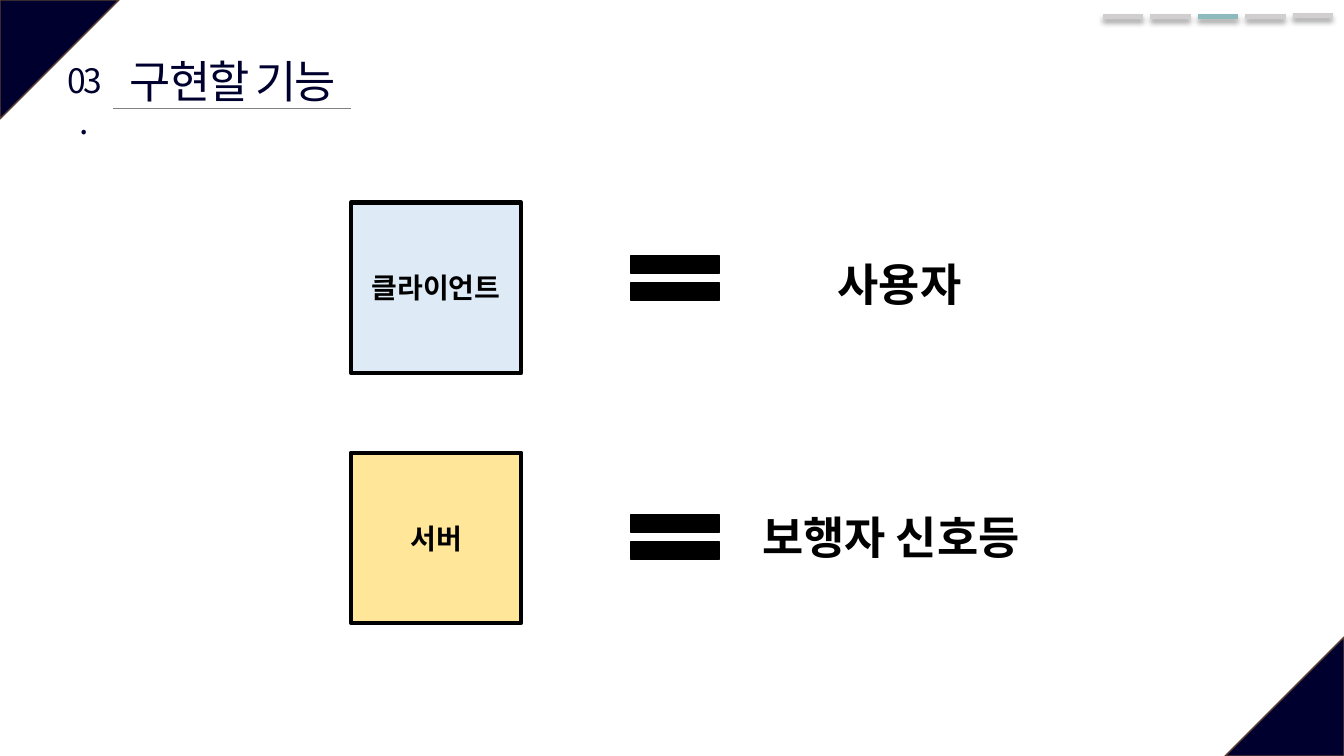
from lxml import etree
from pptx import Presentation
from pptx.dml.color import RGBColor
from pptx.enum.shapes import MSO_CONNECTOR, MSO_SHAPE
from pptx.enum.text import MSO_ANCHOR, MSO_AUTO_SIZE, PP_ALIGN
from pptx.oxml.ns import qn
from pptx.util import Inches, Pt

LINE = MSO_CONNECTOR.STRAIGHT
RECT = MSO_SHAPE.RECTANGLE
WEDGE = MSO_SHAPE.ISOSCELES_TRIANGLE
EQUAL = MSO_SHAPE.MATH_EQUAL
TOP, MID = MSO_ANCHOR.TOP, MSO_ANCHOR.MIDDLE
LEFT, CENTER = PP_ALIGN.LEFT, PP_ALIGN.CENTER
NONE = MSO_AUTO_SIZE.NONE

FONT = "Noto Sans CJK KR"
COLORS = {
    "navy": "00002F", "brown": "5B3F33", "gray": "808080",
    "light": "D0CECE", "teal": "8DBABD", "blue": "DEEBF7",
    "gold": "FFE699", "black": "000000",
}


class Deck:
    def __init__(self, slide):
        self.slide = slide
        self.items = slide.shapes

    def color(self, name):
        return RGBColor.from_string(COLORS[name])

    def label(self, shape, text, size, color, bold=False, align=CENTER,
              anchor=TOP, wrap=False, space=0):
        frame = shape.text_frame
        frame.auto_size = NONE
        frame.word_wrap = wrap
        frame.vertical_anchor = anchor
        para = frame.paragraphs[0]
        para.alignment = align
        run = para.add_run()
        run.text = text
        font = run.font
        font.size = Pt(size)
        font.bold = bold
        font.name = FONT
        font.color.rgb = self.color(color)
        props = run._r.get_or_add_rPr()
        etree.SubElement(props, qn("a:ea")).set("typeface", FONT)
        if space:
            props.set("spc", str(int(space * 100)))

    def title(self, text, x, y, w, h, **style):
        shape = self.items.title
        shape.left, shape.top = Inches(x), Inches(y)
        shape.width, shape.height = Inches(w), Inches(h)
        self.label(shape, text, **style)

    def text(self, text, x, y, w, h, **style):
        box = self.items.add_textbox(Inches(x), Inches(y), Inches(w), Inches(h))
        self.label(box, text, **style)

    def shape(self, kind, x, y, w, h, fill, edge, width=1):
        shape = self.items.add_shape(kind, Inches(x), Inches(y), Inches(w), Inches(h))
        shape.shadow.inherit = False
        shape.fill.solid()
        shape.fill.fore_color.rgb = self.color(fill)
        shape.line.color.rgb = self.color(edge)
        shape.line.width = Pt(width)
        return shape

    def corner(self, x, y, size, turn):
        wedge = self.shape(WEDGE, x, y, size, size, "navy", "brown")
        wedge.adjustments[0] = 0
        wedge.rotation = turn

    def line(self, x, y, length, color, width, shade=False):
        line = self.items.add_connector(
            LINE, Inches(x), Inches(y), Inches(x + length), Inches(y))
        line.line.color.rgb = self.color(color)
        line.line.width = Pt(width)
        effect = etree.SubElement(line._element.spPr, qn("a:effectLst"))
        if shade:
            shadow = etree.SubElement(
                effect, qn("a:outerShdw"), blurRad=str(Pt(4)), dist=str(Pt(3)),
                dir="5400000", algn="t", rotWithShape="0")
            tint = etree.SubElement(shadow, qn("a:srgbClr"), val=COLORS["black"])
            etree.SubElement(tint, qn("a:alpha"), val="40000")


show = Presentation()
show.slide_width, show.slide_height = Inches(13.33), Inches(7.5)
deck = Deck(show.slides.add_slide(show.slide_layouts[5]))

deck.corner(0, 0, 1.18, 90)
deck.corner(12.15, 6.32, 1.18, 270)

deck.line(1.12, 1.08, 2.36, "gray", 0.5)
deck.title("구현할 기능", 1.07, 0.48, 2.48, 0.64, size=32, color="navy", space=-1.5)
deck.text("03.", 0.54, 0.55, 0.58, 0.5, size=24, color="navy", wrap=True, space=-1.5)

STEPS, ACTIVE = 5, 2
for step in range(STEPS):
    tone = "teal" if step == ACTIVE else "light"
    level = 0.15 if step == STEPS - 1 else 0.16
    deck.line(10.94 + 0.47 * step, level, 0.4, tone, 3.5, shade=True)

ROWS = [
    ("클라이언트", "blue", 2.01, 2.38, "사용자", 8.21, 2.5, 1.55),
    ("서버", "gold", 4.49, 4.95, "보행자 신호등", 7.46, 5.01, 3.05),
]
for part, fill, top, sign, role, left, base, width in ROWS:
    box = deck.shape(RECT, 3.48, top, 1.69, 1.69, fill, "black", 3)
    deck.label(box, part, 20, "black", bold=True, anchor=MID, wrap=True)
    deck.shape(EQUAL, 6.1, sign, 1.19, 0.76, "black", "black")
    deck.text(role, left, base, width, 0.64, size=32, color="black", bold=True, align=LEFT)

show.save("out.pptx")
